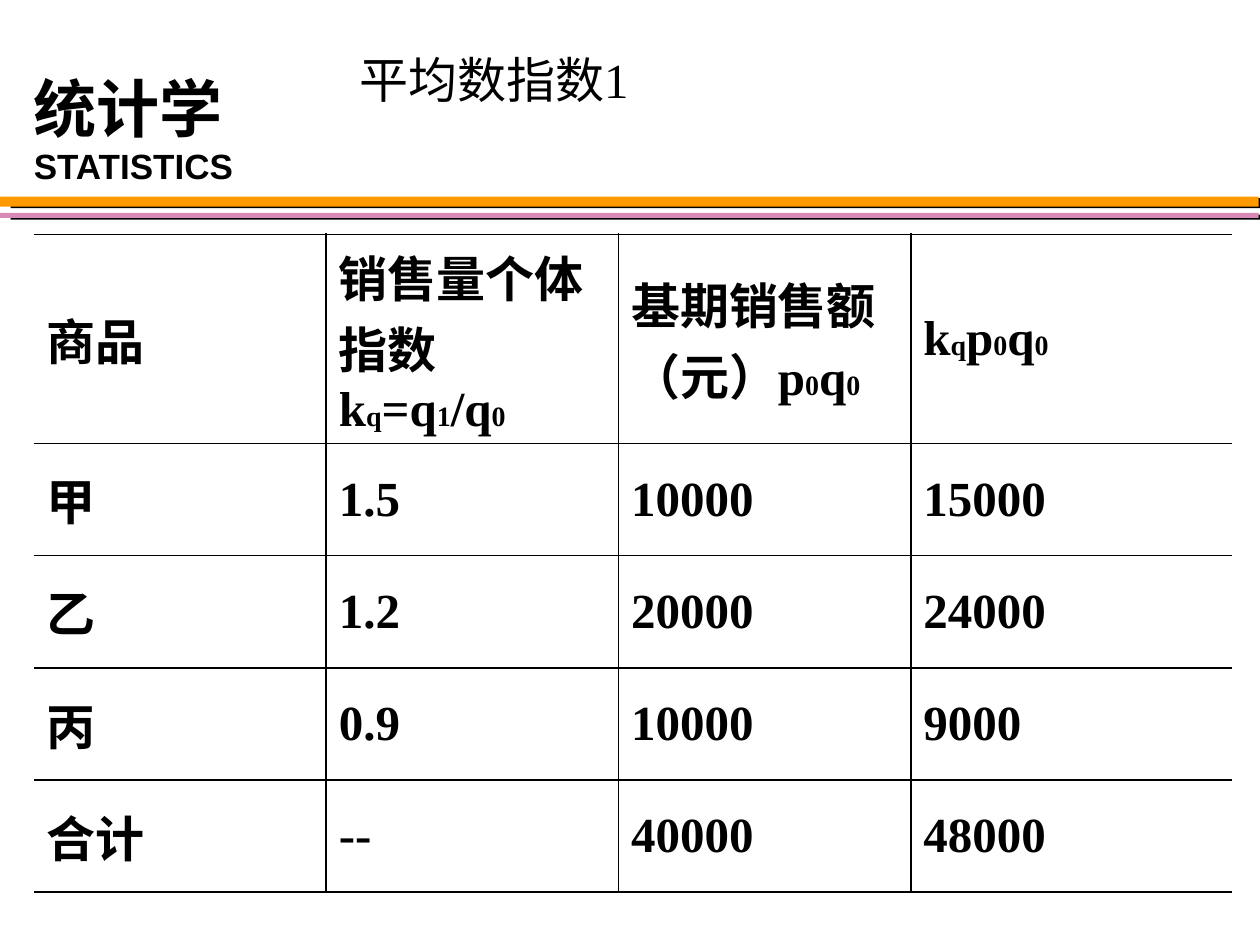
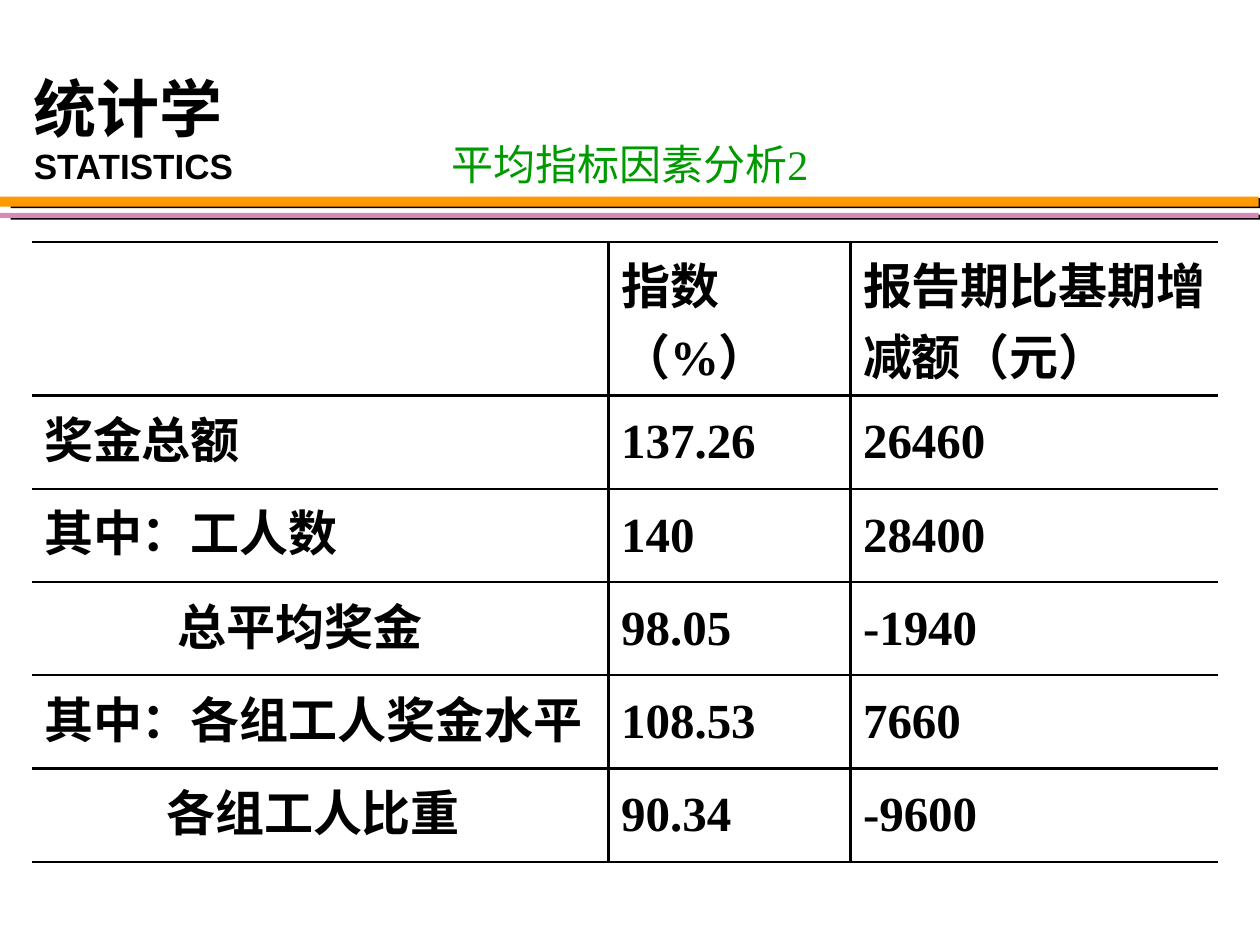
from dataclasses import dataclass

from lxml import etree
from pptx import Presentation
from pptx.dml.color import RGBColor
from pptx.enum.shapes import MSO_SHAPE
from pptx.enum.text import MSO_ANCHOR, MSO_AUTO_SIZE, PP_ALIGN
from pptx.oxml.ns import qn
from pptx.util import Inches, Pt

RECTANGLE = MSO_SHAPE.RECTANGLE
TOP, MIDDLE = MSO_ANCHOR.TOP, MSO_ANCHOR.MIDDLE
CENTER = PP_ALIGN.CENTER
GROW = MSO_AUTO_SIZE.SHAPE_TO_FIT_TEXT


@dataclass(frozen=True)
class Theme:
    ink: str = "000000"
    green: str = "009900"
    orange: str = "FF9900"
    pink: str = "D989B8"
    serif: str = "Times New Roman"
    sans: str = "Arial"
    course: int = 36
    course_english: int = 20
    body: int = 28
    small_title: int = 24
    subscript: int = 16


theme = Theme()


def add_run(paragraph, text, size, font=theme.serif, color=theme.ink, bold=False):
    run = paragraph.add_run()
    run.text = text
    run.font.size = Pt(size)
    run.font.name = font
    run.font.bold = bold
    run.font.color.rgb = RGBColor.from_string(color)


def add_border(cell, side, width):
    edge = etree.SubElement(cell._tc.get_or_add_tcPr(), qn(f"a:ln{side}"))
    if width:
        edge.set("w", str(Pt(width)))
        fill = etree.SubElement(edge, qn("a:solidFill"))
        etree.SubElement(fill, qn("a:srgbClr"), val=theme.ink)
    else:
        etree.SubElement(edge, qn("a:noFill"))


index_rows = [
    ["商品", "销售量个体指数|k_q=q_1/q_0", "基期销售额（元）p_0q_0", "k_qp_0q_0"],
    ["甲", "1.5", "10000", "15000"],
    ["乙", "1.2", "20000", "24000"],
    ["丙", "0.9", "10000", "9000"],
    ["合计", "--", "40000", "48000"],
]
bonus_rows = [
    ["", "指数（%）", "报告期比基期增减额（元）"],
    ["奖金总额", "137.26", "26460"],
    ["其中：工人数", "140", "28400"],
    ["总平均奖金", "98.05", "-1940"],
    ["其中：各组工人奖金水平", "108.53", "7660"],
    ["各组工人比重", "90.34", "-9600"],
]
lessons = [
    dict(title="平均数指数1", title_at=(-0.33, 0), title_size=theme.body,
         title_color=theme.ink, rows=index_rows, table_at=(0.27, 1.86),
         columns=[2.32, 2.32, 2.32, 2.55], header=1.66, row=0.89,
         rule=1.08, label_anchor=MIDDLE, indents={}),
    dict(title="平均指标因素分析2", title_at=(0.75, 0.67), title_size=theme.small_title,
         title_color=theme.green, rows=bonus_rows, table_at=(0.25, 1.92),
         columns=[4.58, 1.92, 2.92], header=1.22, row=0.74,
         rule=1.47, label_anchor=TOP, indents={3: 1.06, 5: 0.97}),
]
bands = [(1.69, 0.04, theme.pink), (1.56, 0.08, theme.orange)]
course_lines = [("统计学", theme.course), ("STATISTICS", theme.course_english)]

deck = Presentation()
deck.slide_width, deck.slide_height = Inches(10), Inches(7.5)

for lesson in lessons:
    slide = deck.slides.add_slide(deck.slide_layouts[6])

    for top, height, color in bands:
        band = slide.shapes.add_shape(RECTANGLE, 0, Inches(top), Inches(9.99), Inches(height))
        band.fill.solid()
        band.fill.fore_color.rgb = RGBColor.from_string(color)
        band.line.fill.background()
        band.shadow.inherit = False
        effects = band._element.spPr.find(qn("a:effectLst"))
        shadow = etree.SubElement(effects, qn("a:outerShdw"), blurRad="0",
                                  dist=str(Pt(6.1)), dir=str(9 * 60000), rotWithShape="0")
        etree.SubElement(shadow, qn("a:srgbClr"), val=theme.ink)

    course = slide.shapes.add_textbox(Inches(0.17), Inches(0.5), Inches(1.82), Inches(1.04)).text_frame
    course.word_wrap = False
    course.auto_size = GROW
    for number, (text, size) in enumerate(course_lines):
        paragraph = course.add_paragraph() if number else course.paragraphs[0]
        add_run(paragraph, text, size, theme.sans, bold=True)

    left, top = lesson["title_at"]
    title = slide.shapes.add_textbox(Inches(left), Inches(top), Inches(8.5), Inches(1.25)).text_frame
    title.word_wrap = True
    title.vertical_anchor = MIDDLE
    title.paragraphs[0].alignment = CENTER
    add_run(title.paragraphs[0], lesson["title"], lesson["title_size"], color=lesson["title_color"])

    rows, columns = lesson["rows"], lesson["columns"]
    heights = [lesson["header"]] + [lesson["row"]] * (len(rows) - 1)
    left, top = lesson["table_at"]
    table = slide.shapes.add_table(len(rows), len(columns), Inches(left), Inches(top),
                                   Inches(sum(columns)), Inches(sum(heights))).table
    table.first_row = table.horz_banding = False
    for column, width in zip(table.columns, columns):
        column.width = Inches(width)
    for r, (values, height) in enumerate(zip(rows, heights)):
        table.rows[r].height = Inches(height)
        for c, value in enumerate(values):
            cell = table.cell(r, c)
            rule = lesson["rule"]
            add_border(cell, "L", rule if c else 0)
            add_border(cell, "R", rule if c < len(columns) - 1 else 0)
            add_border(cell, "T", rule)
            add_border(cell, "B", rule)
            cell.fill.background()
            cell.vertical_anchor = MIDDLE if c else lesson["label_anchor"]
            if c == 0:
                cell.margin_left = Inches(0.1 + lesson["indents"].get(r, 0))
            paragraph = cell.text_frame.paragraphs[0]
            for line_number, line in enumerate(value.split("|")):
                if line_number:
                    paragraph.add_line_break()
                base, *subscripted = line.split("_")
                if base:
                    add_run(paragraph, base, theme.body, bold=True)
                for part in subscripted:
                    add_run(paragraph, part[0], theme.subscript, bold=True)
                    if part[1:]:
                        add_run(paragraph, part[1:], theme.body, bold=True)

deck.save("out.pptx")
